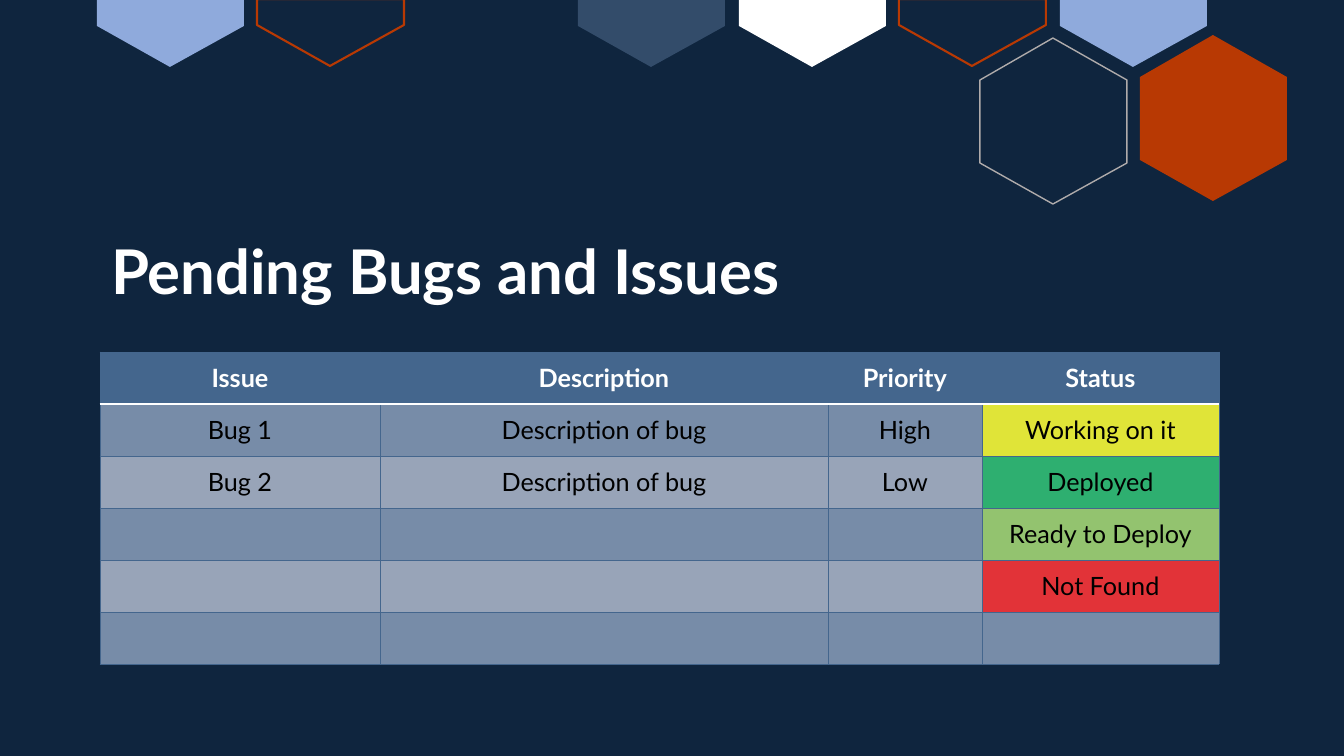
from lxml import etree
from pptx import Presentation
from pptx import util as u
from pptx.dml import color
from pptx.enum import text
from pptx.oxml import ns

PX = 914400 / 100.8  # EMU in one pixel

NAVY, SLATE, STEEL = "0F253E", "334C6A", "44668D"
WHITE, BLACK, SILVER = "FFFFFF", "000000", "AFABAB"
PERIWINKLE, RUST = "8FAADC", "B83903"
BANDS = ("778CA8", "98A4B8")
STATUS_FILLS = {
    "Working on it": "E0E438",
    "Deployed": "2EAF70",
    "Ready to Deploy": "93C36F",
    "Not Found": "E23338",
}


def px(count):
    return u.Emu(round(count * PX))


def rgb(value):
    return color.RGBColor.from_string(value)


def apply(target, values):
    for name, value in values.items():
        setattr(target, name, value)


class SlideBuilder:
    font_name = "Lato"

    def __init__(self, page):
        self.page = page

    def background(self, fill):
        self.page.background.fill.solid()
        self.page.background.fill.fore_color.rgb = rgb(fill)

    def add_words(self, frame, words, size, ink, bold, align, spacing=1.0):
        para = frame.paragraphs[0]
        apply(para, {"alignment": align, "line_spacing": spacing})
        span = para.add_run()
        span.text = words
        apply(span.font, {"name": self.font_name, "size": u.Pt(size), "bold": bold})
        span.font.color.rgb = rgb(ink)

    def title(self, words, left, top, width, height):
        box = self.page.shapes.title
        apply(box, {"left": px(left), "top": px(top),
                    "width": px(width), "height": px(height)})
        apply(box.text_frame, {"word_wrap": True,
                               "auto_size": text.MSO_AUTO_SIZE.NONE,
                               "vertical_anchor": text.MSO_ANCHOR.BOTTOM})
        self.add_words(box.text_frame, words, 44, WHITE, True, text.PP_ALIGN.LEFT, 0.9)

    def polygon(self, points, fill=None, line=None, weight=1):
        builder = self.page.shapes.build_freeform(*points[0], scale=PX)
        builder.add_line_segments(points[1:], close=True)
        shape = builder.convert_to_shape()
        shape.shadow.inherit = False
        if fill:
            shape.fill.solid()
            shape.fill.fore_color.rgb = rgb(fill)
        else:
            shape.fill.background()
        if line:
            shape.line.color.rgb = rgb(line)
            shape.line.width = u.Pt(weight)
        else:
            shape.line.fill.background()

    def hexagon(self, left, top, **style):
        right, middle = left + 147, left + 73
        self.polygon([(middle, top), (right, top + 42), (right, top + 125),
                      (middle, top + 166), (left, top + 125), (left, top + 42)], **style)

    def cut_hexagon(self, left, top, **style):
        right, middle = left + 147, left + 73
        self.polygon([(left, top), (right, top), (right, top + 26),
                      (middle, top + 67), (left, top + 26)], **style)

    def border(self, cell, side, ink, weight):
        properties = cell._tc.get_or_add_tcPr()
        edge = etree.SubElement(properties, ns.qn(f"a:ln{side}"), w=str(u.Pt(weight)))
        solid = etree.SubElement(edge, ns.qn("a:solidFill"))
        etree.SubElement(solid, ns.qn("a:srgbClr"), val=ink)

    def table(self, rows, widths, left, top, row_height):
        frame = self.page.shapes.add_table(len(rows), len(widths), px(left), px(top),
                                           px(sum(widths)), px(row_height * len(rows)))
        grid = frame.table
        grid.horz_banding = False
        for column, width in zip(grid.columns, widths):
            column.width = px(width)
        for r, words in enumerate(rows):
            grid.rows[r].height = px(row_height)
            for c, word in enumerate(words):
                self.cell(grid.cell(r, c), word, r)

    def cell(self, cell, word, row):
        header = row == 0
        white_sides = {0: "B", 1: "T"}.get(row, "")  # rule under the header
        for side in "LRTB":
            if side in white_sides:
                self.border(cell, side, WHITE, 1)
            else:
                self.border(cell, side, STEEL, 0.5)
        band = STEEL if header else BANDS[(row - 1) % 2]
        cell.fill.solid()
        cell.fill.fore_color.rgb = rgb(STATUS_FILLS.get(word, band))
        cell.vertical_anchor = text.MSO_ANCHOR.MIDDLE
        if word:
            self.add_words(cell.text_frame, word, 18, WHITE if header else BLACK,
                           header, text.PP_ALIGN.CENTER)


def main():
    deck = Presentation()
    deck.slide_width, deck.slide_height = px(1344), px(756)
    slide = SlideBuilder(deck.slides.add_slide(deck.slide_layouts[5]))
    slide.background(NAVY)

    # Hexagons cut by the top edge, on an even pitch with one slot empty
    filled = {0: PERIWINKLE, 3: SLATE, 4: WHITE, 6: PERIWINKLE}
    for slot in (0, 1, 3, 4, 5, 6):
        left = 97 + slot * 321 // 2
        if slot in filled:
            slide.cut_hexagon(left, 0, fill=filled[slot])
        else:
            slide.cut_hexagon(left, -1, line=RUST, weight=1.5)

    # Whole hexagons at the right
    slide.hexagon(980, 38, line=SILVER)
    slide.hexagon(1140, 35, fill=RUST)

    # Title and issue table
    slide.title("Pending Bugs and Issues", 101, 81, 846, 232)
    rows = [
        ("Issue", "Description", "Priority", "Status"),
        ("Bug 1", "Description of bug", "High", "Working on it"),
        ("Bug 2", "Description of bug", "Low", "Deployed"),
        ("", "", "", "Ready to Deploy"),
        ("", "", "", "Not Found"),
        ("", "", "", ""),
    ]
    slide.table(rows, (280, 448, 154, 237), 100, 352, 52)

    deck.save("out.pptx")


if __name__ == "__main__":
    main()
